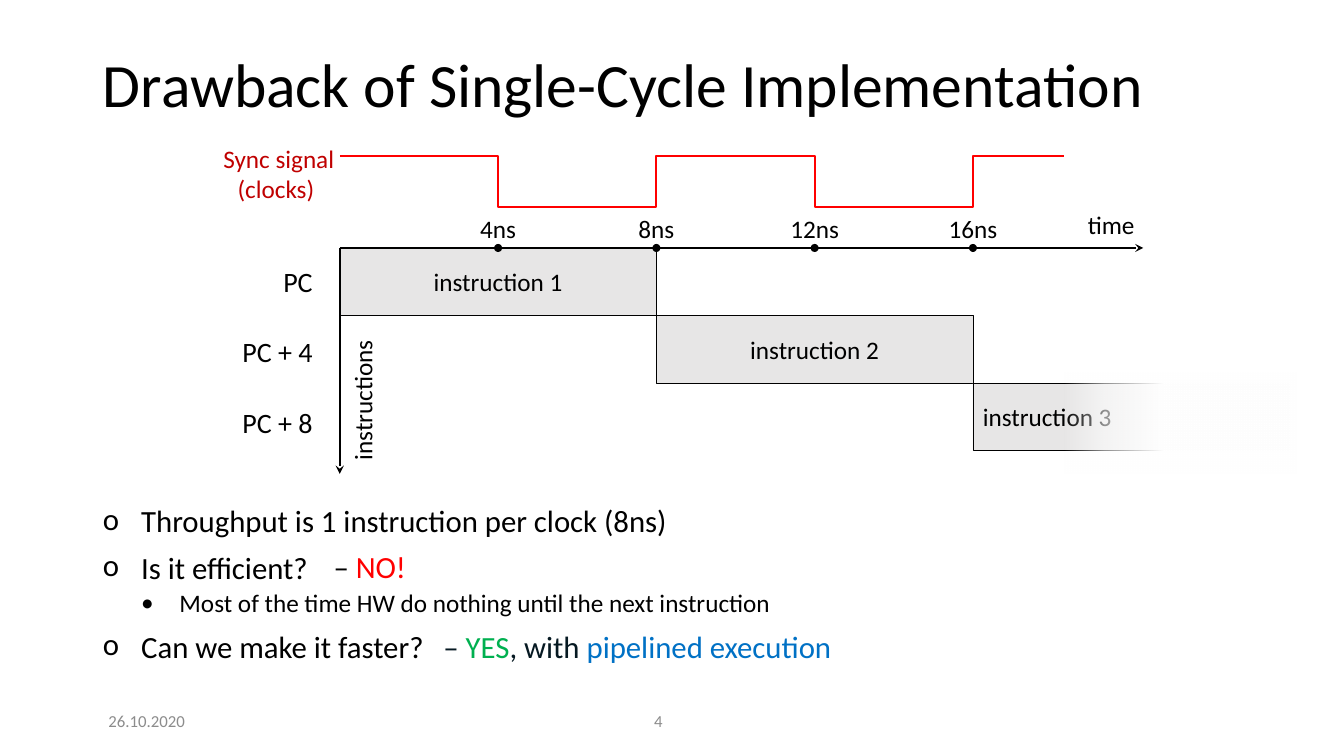
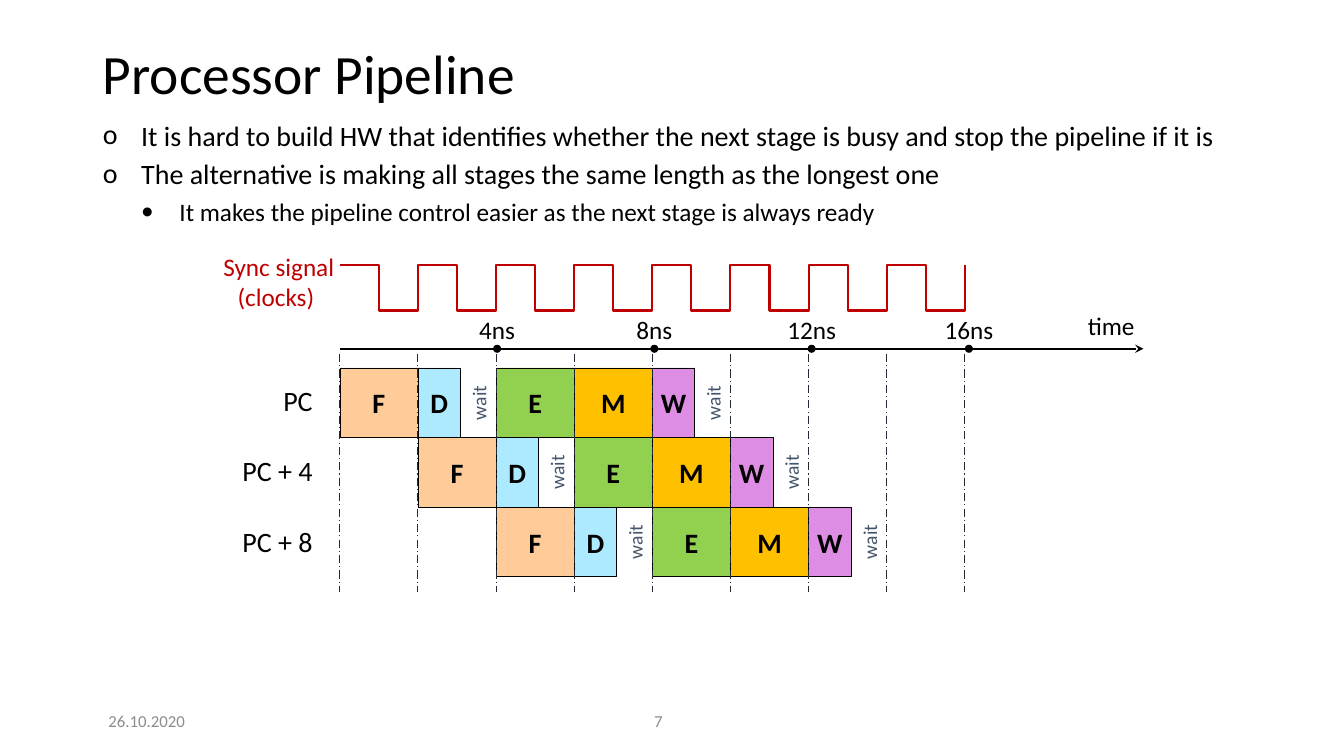
import pptx
import pptx.dml.color
import pptx.enum.dml
import pptx.enum.shapes
import pptx.enum.text
import pptx.oxml
import pptx.oxml.ns
import pptx.util
from lxml import etree

inch = pptx.util.Inches
ALIGN = pptx.enum.text.PP_ALIGN
ANCHOR = pptx.enum.text.MSO_ANCHOR
SHAPE = pptx.enum.shapes.MSO_SHAPE

# Shared style
FONT = "Calibri"
BLACK, WHITE, GRAY, FOOTER = "000000", "FFFFFF", "E7E6E6", "8C8C8C"
RED, DARK_RED, GREEN, BLUE = "FF0000", "C00000", "00B050", "0071C5"
INK, SLATE, GUIDE = "061922", "44546A", "222A35"
MARGIN, CONTENT_WIDTH = 0.92, 11.5
INDENT = 0.38

# Diagram grid: the time axis starts at ORIGIN
ORIGIN, AXIS_LENGTH = 3.37, 7.97
STAGE = 3.1 / 4
STAGE_HEIGHT, SHORT_STAGE = 0.69, 0.42
JOB_WIDTH, JOB_HEIGHT = 3.14, 0.67
LABEL_STEP = 0.7
STAGES = [  # name, colour, shorter than a full column
    ("F", "FFCC99", False),
    ("D", "ADE9FF", True),
    ("E", "92D050", False),
    ("M", "FFC000", False),
    ("W", "DD8DE3", True),
]


def colour(code):
    return pptx.dml.color.RGBColor.from_string(code)


def write(para, text, size=18, color=BLACK, bold=False, align=None):
    """Fill a paragraph; text is a string or a list of (text, colour)."""
    para.alignment = align
    for part, shade in [(text, color)] if isinstance(text, str) else text:
        span = para.add_run()
        span.text = part
        span.font.name = FONT
        span.font.size = pptx.util.Pt(size)
        span.font.bold = bold
        span.font.color.rgb = colour(shade)


def add_text(page, text, left, top, width, height, wrap=True,
             anchor=ANCHOR.TOP, rotation=0, **style):
    box = page.shapes.add_textbox(inch(left), inch(top), inch(width), inch(height))
    box.rotation = rotation
    frame = box.text_frame
    frame.word_wrap = wrap
    frame.vertical_anchor = anchor
    lines = text.split("\n") if isinstance(text, str) else [text]
    for number, line in enumerate(lines):
        write(frame.add_paragraph() if number else frame.paragraphs[0], line, **style)


def add_block(page, left, top, width, height, fill, text="", kind=SHAPE.RECTANGLE,
              border=0, wrap=True, align=ALIGN.CENTER, **style):
    block = page.shapes.add_shape(kind, inch(left), inch(top), inch(width), inch(height))
    block.shadow.inherit = False
    block.fill.solid()
    block.fill.fore_color.rgb = colour(fill)
    if border:
        block.line.color.rgb = colour(BLACK)
        block.line.width = pptx.util.Pt(border)
    else:
        block.line.fill.background()
    if text:
        block.text_frame.word_wrap = wrap
        block.text_frame.vertical_anchor = ANCHOR.MIDDLE
        write(block.text_frame.paragraphs[0], text, align=align, **style)
    return block


def add_line(page, start, end, color=BLACK, weight=1.5, dash=None, arrow=False):
    line = page.shapes.add_connector(
        pptx.enum.shapes.MSO_CONNECTOR.STRAIGHT, *[inch(value) for value in start + end])
    line.line.color.rgb = colour(color)
    line.line.width = pptx.util.Pt(weight)
    if dash:
        line.line.dash_style = dash
    properties = line._element.spPr
    if arrow:
        outline = properties.find(pptx.oxml.ns.qn("a:ln"))
        etree.SubElement(outline, pptx.oxml.ns.qn("a:tailEnd"), type="stealth")
    etree.SubElement(properties, pptx.oxml.ns.qn("a:effectLst"))


def add_wave(page, top, height, half, count, color, tail=0):
    """Draw a clock signal of count full periods that starts high."""
    points = []
    for period in range(count):
        fall = ORIGIN + (2 * period + 1) * half
        rise = fall + half
        points += [(fall, top), (fall, top + height), (rise, top + height), (rise, top)]
    if tail:
        points.append((points[-1][0] + tail, top))
    builder = page.shapes.build_freeform(inch(ORIGIN), inch(top))
    builder.add_line_segments([(inch(x), inch(y)) for x, y in points], close=False)
    wave = builder.convert_to_shape()
    wave.shadow.inherit = False
    wave.fill.background()
    wave.line.color.rgb = colour(color)
    wave.line.width = pptx.util.Pt(1.5)


def add_fade(page, left, top, width, height):
    """Cover an area with white that grows from clear to opaque."""
    fade = add_block(page, left, top, width, height, WHITE)
    fade.fill.gradient()
    fade.fill.gradient_angle = 0
    stops = fade._element.spPr.find(".//" + pptx.oxml.ns.qn("a:gsLst"))
    for stop in list(stops):
        stops.remove(stop)
    for position, alpha in [(0, 0), (17, 55), (43, 100), (100, 100)]:
        stop = etree.SubElement(stops, pptx.oxml.ns.qn("a:gs"), pos=str(position * 1000))
        shade = etree.SubElement(stop, pptx.oxml.ns.qn("a:srgbClr"), val=WHITE)
        etree.SubElement(shade, pptx.oxml.ns.qn("a:alpha"), val=str(alpha * 1000))


def place(holder, top, height, anchor):
    holder.left, holder.top = inch(MARGIN), inch(top)
    holder.width, holder.height = inch(CONTENT_WIDTH), inch(height)
    frame = holder.text_frame
    frame.auto_size = pptx.enum.text.MSO_AUTO_SIZE.NONE
    frame.word_wrap = True
    frame.vertical_anchor = anchor
    return frame


def add_page(deck, title, number, title_height, title_size):
    page = deck.slides.add_slide(deck.slide_layouts[1])
    para = place(page.shapes.title, 0.4, title_height, ANCHOR.MIDDLE).paragraphs[0]
    para.line_spacing = 0.9
    write(para, title, size=title_size, align=ALIGN.LEFT)
    footer = dict(top=6.95, height=0.4, anchor=ANCHOR.MIDDLE, size=12, color=FOOTER)
    add_text(page, number, left=6.39, width=0.79, **footer)
    add_text(page, "26.10.2020", left=MARGIN, width=1.07, align=ALIGN.CENTER, **footer)
    return page


def fill_list(page, items, top, height, size, spacing, gap):
    """Write (level, text) items into the body placeholder."""
    frame = place(page.placeholders[1], top, height, ANCHOR.TOP)
    for number, (level, text) in enumerate(items):
        para = frame.add_paragraph() if number else frame.paragraphs[0]
        para.level = level
        para.line_spacing = spacing
        para.space_before = pptx.util.Pt((6 if level else gap) if number else 0)
        properties = para._p.get_or_add_pPr()
        properties.set("marL", str(inch(INDENT * (level + 1))))
        properties.set("indent", str(-inch(INDENT)))
        etree.SubElement(properties, pptx.oxml.ns.qn("a:buFont"), typeface=FONT)
        etree.SubElement(properties, pptx.oxml.ns.qn("a:buChar"), char="•" if level else "o")
        write(para, text, size=18 if level else size, align=ALIGN.LEFT)


def add_time_axis(page, y, tick_step):
    add_line(page, (ORIGIN, y), (ORIGIN + AXIS_LENGTH, y), arrow=True)
    add_text(page, "time", 10.69, y - 0.43, 0.68, 0.4, wrap=False)
    dot, width = 0.08, 0.69
    for tick in range(1, 5):
        x = ORIGIN + tick * tick_step
        add_block(page, x - dot / 2, y - dot / 2, dot, dot, BLACK, kind=SHAPE.OVAL)
        add_text(page, f"{4 * tick}ns", x - width / 2, y - 0.39, width, 0.4,
                 wrap=False, align=ALIGN.CENTER)


def add_labels(page, signal_top, rows_top):
    add_text(page, "Sync signal\n(clocks) ", 2.11, signal_top, 1.31, 0.71,
             wrap=False, color=DARK_RED, align=ALIGN.CENTER)
    for row, label in enumerate(["PC", "PC + 4", "PC + 8"]):
        add_text(page, label, 2.07, rows_top + row * LABEL_STEP, 1.13, 0.44,
                 anchor=ANCHOR.MIDDLE, size=20, align=ALIGN.RIGHT)


def add_pipeline_row(page, row, top):
    width, height = 0.54, 0.34
    for column, (name, fill, short) in enumerate(STAGES, start=row):
        left = ORIGIN + column * STAGE
        add_block(page, left, top, SHORT_STAGE if short else STAGE, STAGE_HEIGHT, fill,
                  name, border=0.25, wrap=False, size=20, bold=True)
        if short:
            add_text(page, "wait", left + STAGE - 0.17 - width / 2,
                     top + (STAGE_HEIGHT - height) / 2, width, height,
                     wrap=False, rotation=270, size=14, color=SLATE)


def build_single_cycle(deck):
    page = add_page(deck, "Drawback of Single-Cycle Implementation", "4", 0.93, 44)
    fill_list(page, [
        (0, "Throughput is 1 instruction per clock (8ns)"),
        (0, "Is it efficient?"),
        (1, "Most of the time HW do nothing until the next instruction"),
        (0, "Can we make it faster?"),
    ], top=5, height=1.69, size=22, spacing=0.8, gap=12)

    # Instructions, one after another
    axis = 2.46
    for row in range(3):
        add_block(page, ORIGIN + row * JOB_WIDTH, axis + row * JOB_HEIGHT, JOB_WIDTH,
                  JOB_HEIGHT, GRAY, f"instruction {row + 1}", border=0.5,
                  align=ALIGN.LEFT if row == 2 else ALIGN.CENTER)
    add_fade(page, 10.56, 3.7, 2.3, 1)

    # Axes and clock
    add_labels(page, signal_top=1.37, rows_top=2.57)
    add_wave(page, 1.55, 0.5, JOB_WIDTH / 2, 2, RED, tail=0.9)
    add_line(page, (ORIGIN, axis), (ORIGIN, 4.7), arrow=True)
    add_text(page, "instructions", 2.9, 3.77, 1.39, 0.4, wrap=False, rotation=270)
    add_time_axis(page, axis, JOB_WIDTH / 2)

    # Answers beside the questions
    add_text(page, [("– ", BLACK), ("NO!", RED)], 3.21, 5.38, 0.93, 0.47,
             wrap=False, size=22)
    add_text(page, [("– ", INK), ("YES", GREEN), (", with ", INK),
                    ("pipelined execution", BLUE)], 4.3, 6.18, 4.13, 0.47,
             wrap=False, size=22)


def build_pipeline(deck):
    page = add_page(deck, "Processor Pipeline", "7", 0.72, 39.6)
    fill_list(page, [
        (0, "It is hard to build HW that identifies whether the next stage is busy "
            "and stop the pipeline if it is"),
        (0, "The alternative is making all stages the same length as the longest one"),
        (1, "It makes the pipeline control easier as the next stage is always ready"),
    ], top=1.16, height=1.71, size=20, spacing=0.9, gap=6)

    # Stages of three overlapping instructions
    for row in range(3):
        add_pipeline_row(page, row, 3.65 + row * STAGE_HEIGHT)

    # Axis, clock and column guides
    add_labels(page, signal_top=2.44, rows_top=3.75)
    add_time_axis(page, 3.46, 1.56)
    for column in range(9):
        x = ORIGIN + column * STAGE
        add_line(page, (x, 3.51), (x, 5.87), GUIDE, 0.75,
                 dash=pptx.enum.dml.MSO_LINE.LONG_DASH_DOT)
    add_wave(page, 2.63, 0.45, STAGE / 2, 8, DARK_RED)


def main():
    deck = pptx.Presentation()
    deck.slide_width, deck.slide_height = inch(13.33), inch(7.5)
    build_single_cycle(deck)
    build_pipeline(deck)
    deck.save("out.pptx")


if __name__ == "__main__":
    main()
